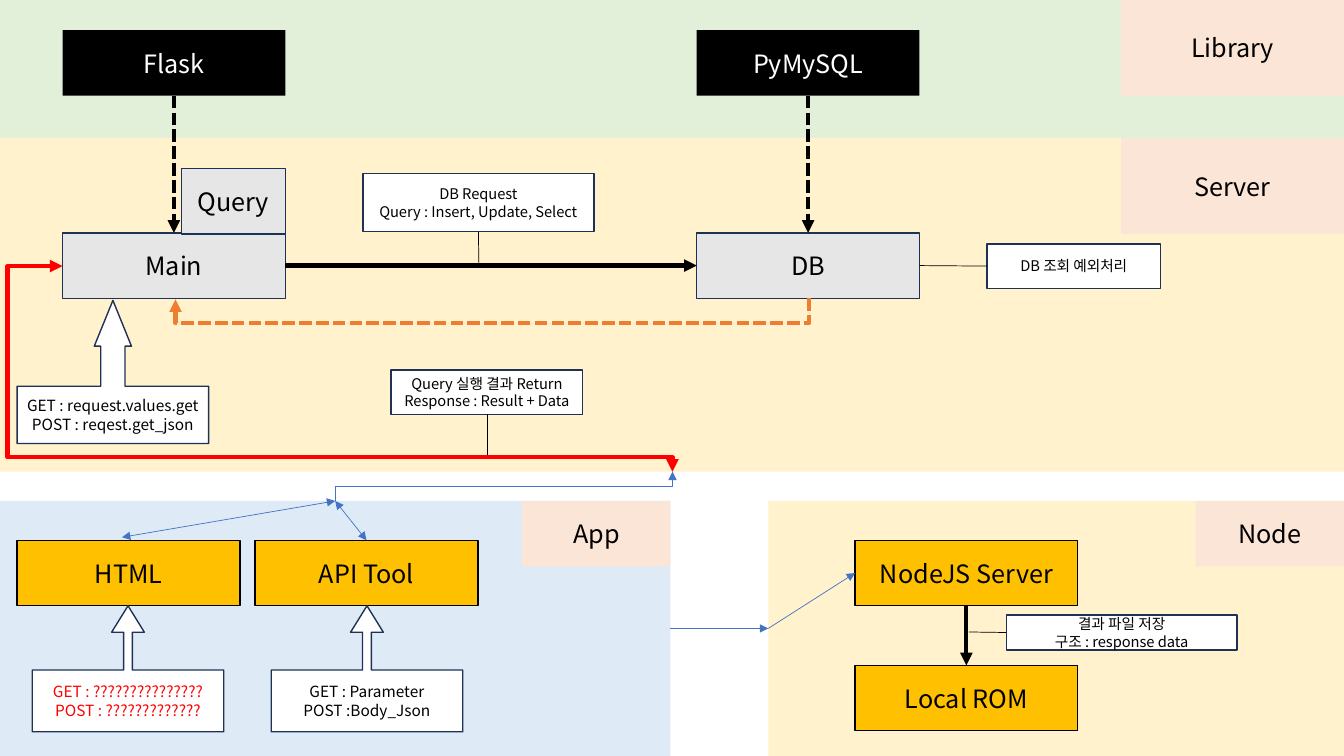
"""Build the system architecture slide: library, server, app and node areas."""
from lxml.etree import SubElement
from pptx import Presentation
from pptx.dml.color import RGBColor
from pptx.enum.dml import MSO_LINE
from pptx.enum.shapes import MSO_CONNECTOR, MSO_SHAPE
from pptx.enum.text import MSO_ANCHOR, PP_ALIGN
from pptx.oxml.ns import qn
from pptx.util import Inches, Pt

FONT = "Noto Sans CJK KR"
BLACK = RGBColor(0x00, 0x00, 0x00)
WHITE = RGBColor(0xFF, 0xFF, 0xFF)
GREEN = RGBColor(0xE2, 0xF0, 0xD9)
CREAM = RGBColor(0xFF, 0xF2, 0xCC)
PALE_BLUE = RGBColor(0xDE, 0xEB, 0xF7)
PEACH = RGBColor(0xFB, 0xE5, 0xD6)
GREY = RGBColor(0xE7, 0xE6, 0xE6)
GOLD = RGBColor(0xFF, 0xC0, 0x00)
NAVY = RGBColor(0x1E, 0x32, 0x56)
BLUE = RGBColor(0x44, 0x72, 0xC4)
ORANGE = RGBColor(0xED, 0x7D, 0x31)
RED = RGBColor(0xFF, 0x00, 0x00)

SLIDE_W, SLIDE_H = 13.33, 7.5
BOX_W, BOX_H = 2.21, 0.65
CALLOUT_W = 1.9
MAIN_X, DB_X, HTML_X, CLIENT_X, NODE_X = 0.62, 6.91, 0.17, 2.53, 8.48
LIBRARY_Y, SERVER_Y, APP_Y, ROM_Y = 0.3, 2.31, 5.36, 6.6
LOWER_Y, LOWER_H = 4.97, 2.53
THICK, THIN = 3, 0.5

# name: left, top, width, height, fill, tag width, tag height
AREAS = {
    "Library": (0, 0, SLIDE_W, 1.37, GREEN, BOX_W, 0.95),
    "App": (0, LOWER_Y, 6.65, LOWER_H, PALE_BLUE, 1.47, BOX_H),
    "Server": (0, 1.37, SLIDE_W, 3.31, CREAM, BOX_W, 0.95),
    "Node": (7.62, LOWER_Y, SLIDE_W - 7.62, LOWER_H, CREAM, 1.47, BOX_H),
}

# name: left, top, width, fill, line colour, text colour
BOXES = {
    "Flask": (MAIN_X, LIBRARY_Y, BOX_W, BLACK, None, WHITE),
    "PyMySQL": (DB_X, LIBRARY_Y, BOX_W, BLACK, None, WHITE),
    "Main": (MAIN_X, SERVER_Y, BOX_W, GREY, NAVY, BLACK),
    "DB": (DB_X, SERVER_Y, BOX_W, GREY, NAVY, BLACK),
    "Query": (1.8, 1.67, 1.03, GREY, NAVY, BLACK),
    "HTML": (HTML_X, APP_Y, BOX_W, GOLD, BLACK, BLACK),
    "API Tool": (CLIENT_X, APP_Y, BOX_W, GOLD, BLACK, BLACK),
    "NodeJS Server": (NODE_X, APP_Y, BOX_W, GOLD, BLACK, BLACK),
    "Local ROM": (NODE_X, ROM_Y, BOX_W, GOLD, BLACK, BLACK),
}

# name: left, top, width, height, lines
NOTES = {
    "request": (3.6, 1.72, 2.29, 0.58, ["DB Request", "Query : Insert, Update, Select"]),
    "error": (9.79, 2.42, 1.72, 0.44, ["DB 조회 예외처리"]),
    "file": (9.98, 6.1, 2.29, 0.35, ["결과 파일 저장", "구조 : response data"]),
    "result": (3.88, 3.67, 1.9, 0.44, ["Query 실행 결과 Return", "Response : Result + Data"]),
}

SMALL_ARROW = (0.07, 0.13, 0.21, 0.49)
# left, top, height, adjustments, text colour, lines
CALLOUTS = [
    (HTML_X, 2.98, 1.42, (0.17, 0.13, 0.32, 0.4), BLACK,
     ["GET : request.values.get", "POST : reqest.get_json"]),
    (0.32, 6.01, 1.25, SMALL_ARROW, RED,
     ["GET : ???????????????", "POST : ?????????????"]),
    (2.69, 6.01, 1.25, SMALL_ARROW, BLACK, ["GET : Parameter", "POST :Body_Json"]),
]

TOP, LEFT, BOTTOM, RIGHT = range(4)
# start, end, colour, width, dashed, arrowheads; an end is a point or a side of a shape
LINKS = [
    (("Flask", BOTTOM), ("Main", TOP), BLACK, THICK, True, ["tail"]),
    (("PyMySQL", BOTTOM), ("DB", TOP), BLACK, THICK, True, ["tail"]),
    (("Main", RIGHT), ("DB", LEFT), BLACK, THICK, False, ["tail"]),
    (("request", BOTTOM), (4.75, 2.64), BLACK, THIN, False, []),
    (("error", LEFT), ("DB", RIGHT), BLACK, THIN, False, []),
    (("result", BOTTOM), (4.83, 4.54), BLACK, THIN, False, []),
    ((1.21, 5.33), ("App", TOP), BLUE, THIN, False, ["head", "tail"]),
    (("API Tool", TOP), ("App", TOP), BLUE, THIN, False, ["head", "tail"]),
    (("App", RIGHT), ("Node", LEFT), BLUE, THIN, False, ["tail"]),
    (("Node", LEFT), ("NodeJS Server", LEFT), BLUE, THIN, False, ["tail"]),
    (("NodeJS Server", BOTTOM), ("Local ROM", TOP), BLACK, THICK, False, ["tail"]),
    ((9.61, 6.27), ("file", LEFT), BLACK, THIN, False, []),
]

# start, end, bend shares, colour, width, dashed, arrowheads
ELBOWS = [
    ((8.02, 2.96), (1.74, 2.97), [25], ORANGE, THICK, True, ["tail"]),
    ((6.67, 4.68), (0.62, 2.64), [0.07, 1.09], RED, THICK, False, ["head", "tail"]),
    ((3.33, 4.97), (6.67, 4.68), [0.5], BLUE, THIN, False, ["tail"]),
]


def add_block(slide, frame, fill, line=None, lines=(), size=18, color=BLACK,
              preset=MSO_SHAPE.RECTANGLE):
    shape = slide.shapes.add_shape(preset, *map(Inches, frame))
    shape.shadow.inherit = False
    shape.fill.solid()
    shape.fill.fore_color.rgb = fill
    if line is None:
        shape.line.fill.background()
    else:
        shape.line.color.rgb = line
        shape.line.width = Pt(1)
    text_frame = shape.text_frame
    text_frame.word_wrap = True
    text_frame.vertical_anchor = MSO_ANCHOR.MIDDLE
    for index, text in enumerate(lines):
        paragraph = text_frame.add_paragraph() if index else text_frame.paragraphs[0]
        paragraph.alignment = PP_ALIGN.CENTER
        run = paragraph.add_run()
        run.text = text
        run.font.size = Pt(size)
        run.font.color.rgb = color
        run.font.name = FONT
        SubElement(run.font._element, qn("a:ea"), typeface=FONT)
    return shape


def style_connector(connector, color, width, dashed, heads):
    connector.line.color.rgb = color
    connector.line.width = Pt(width)
    if dashed:
        connector.line.dash_style = MSO_LINE.SQUARE_DOT
    outline = connector.line._get_or_add_ln()
    for head in heads:
        SubElement(outline, qn(f"a:{head}End"), type="triangle")
    SubElement(connector._element.spPr, qn("a:effectLst"))


def add_link(slide, shapes, start, end, *style):
    points = [(0, 0) if point[0] in shapes else point for point in (start, end)]
    connector = slide.shapes.add_connector(
        MSO_CONNECTOR.STRAIGHT, *(Inches(value) for point in points for value in point))
    for point, connect in ((start, connector.begin_connect), (end, connector.end_connect)):
        if point[0] in shapes:
            connect(shapes[point[0]], point[1])
    style_connector(connector, *style)


def add_elbow(slide, start, end, bends, *style):
    (x1, y1), (x2, y2) = start, end
    center_x, center_y = (x1 + x2) / 2, (y1 + y2) / 2
    half_w, half_h = abs(y2 - y1) / 2, abs(x2 - x1) / 2
    connector = slide.shapes.add_connector(
        MSO_CONNECTOR.ELBOW, Inches(center_x - half_w), Inches(center_y - half_h),
        Inches(center_x + half_w), Inches(center_y + half_h))
    properties = connector._element.spPr
    transform = properties.find(qn("a:xfrm"))
    transform.set("rot", str(90 * 60000))
    transform.set("flipH", str(int(y2 < y1)))
    transform.set("flipV", str(int(x2 > x1)))
    geometry = properties.find(qn("a:prstGeom"))
    geometry.set("prst", f"bentConnector{len(bends) + 2}")
    guides = geometry.find(qn("a:avLst"))
    for number, bend in enumerate(bends, 1):
        SubElement(guides, qn("a:gd"), name=f"adj{number}", fmla=f"val {round(bend * 100000)}")
    style_connector(connector, *style)


def main():
    presentation = Presentation()
    presentation.slide_width, presentation.slide_height = Inches(SLIDE_W), Inches(SLIDE_H)
    slide = presentation.slides.add_slide(presentation.slide_layouts[6])
    shapes = {}
    for name, (left, top, width, height, fill, tag_w, tag_h) in AREAS.items():
        shapes[name] = add_block(slide, (left, top, width, height), fill)
        add_block(slide, (left + width - tag_w, top, tag_w, tag_h), PEACH, lines=[name])
    for name, (left, top, width, fill, line, color) in BOXES.items():
        shapes[name] = add_block(slide, (left, top, width, BOX_H), fill, line, [name], color=color)
    for name, (*frame, lines) in NOTES.items():
        shapes[name] = add_block(slide, frame, WHITE, NAVY, lines, 10.5)
    for left, top, height, adjustments, color, lines in CALLOUTS:
        callout = add_block(slide, (left, top, CALLOUT_W, height), WHITE, NAVY, lines, 11, color,
                            MSO_SHAPE.UP_ARROW_CALLOUT)
        for index, value in enumerate(adjustments):
            callout.adjustments[index] = value
    for link in LINKS:
        add_link(slide, shapes, *link)
    for elbow in ELBOWS:
        add_elbow(slide, *elbow)
    presentation.save("out.pptx")


if __name__ == "__main__":
    main()
